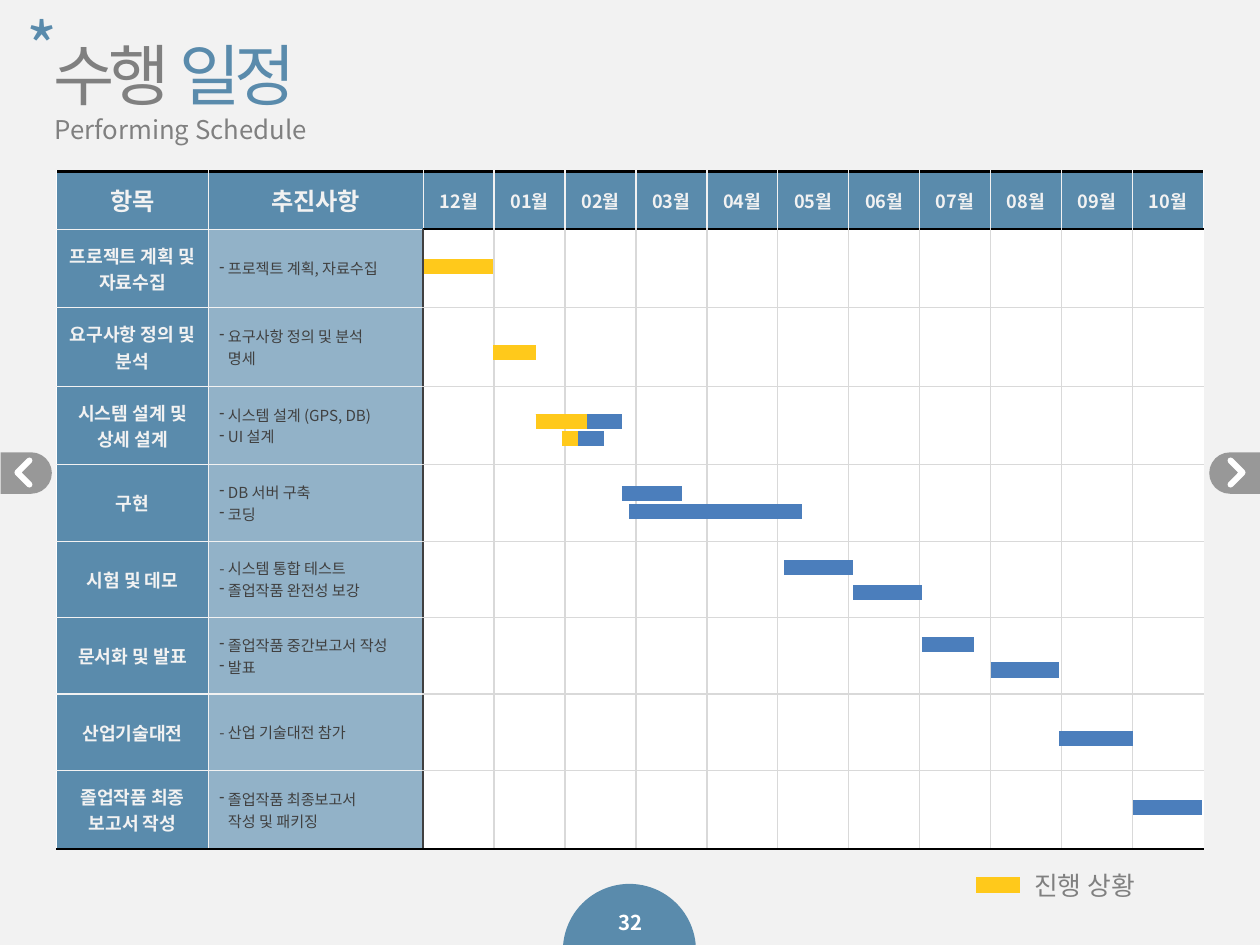
from dataclasses import dataclass

from lxml import etree
from pptx import Presentation
from pptx.dml.color import RGBColor
from pptx.enum.shapes import MSO_CONNECTOR, MSO_SHAPE
from pptx.enum.text import MSO_ANCHOR, PP_ALIGN
from pptx.oxml.ns import qn
from pptx.util import Inches, Pt

LINE = MSO_CONNECTOR.STRAIGHT
CHORD = MSO_SHAPE.CHORD
TAB = MSO_SHAPE.ROUND_2_SAME_RECTANGLE
MIDDLE = MSO_ANCHOR.MIDDLE
LEFT, CENTER = PP_ALIGN.LEFT, PP_ALIGN.CENTER


@dataclass(frozen=True)
class Theme:
    """Colours, font and type sizes of the slide."""
    font: str = "Noto Sans CJK KR"
    paper: str = "F2F2F2"
    blue: str = "5A8BAC"
    pale: str = "92B2C8"
    white: str = "FFFFFF"
    gray: str = "808080"
    dark: str = "404040"
    grid: str = "D9D9D9"
    black: str = "000000"
    done: str = "FFC91B"
    plan: str = "4B7EBC"
    title: float = 44
    label: float = 17
    head: float = 16
    page: float = 13.5
    item: float = 12
    note: float = 10


T = Theme()
MONTHS = ["12월"] + [f"{n:02}월" for n in range(1, 11)]
WIDTHS = [1.39, 1.97] + [0.65] * len(MONTHS)
HEIGHTS = [0.53] + [0.72] * 3 + [0.7] * 4 + [0.72]
BULLET, PLAIN, INDENT = "bullet", "plain", "indent"
TASKS = [
    (["프로젝트 계획 및 자료수집"], [(BULLET, "프로젝트 계획, 자료수집")]),
    (["요구사항 정의 및 분석"], [(BULLET, "요구사항 정의 및 분석"), (INDENT, "명세")]),
    (["시스템 설계 및 상세 설계"], [(BULLET, "시스템 설계 (GPS, DB)"), (BULLET, "UI 설계")]),
    (["구현"], [(BULLET, "DB 서버 구축"), (BULLET, "코딩")]),
    (["시험 및 데모"], [(PLAIN, "- 시스템 통합 테스트"), (BULLET, "졸업작품 완전성 보강")]),
    (["문서화 및 발표"], [(BULLET, "졸업작품 중간보고서 작성"), (BULLET, "발표")]),
    (["산업기술대전"], [(PLAIN, "- 산업 기술대전 참가")]),
    (["졸업작품 최종", "보고서 작성"], [(BULLET, "졸업작품 최종보고서"), (INDENT, "작성 및 패키징")]),
]
PLANS = [
    (4.91, 5.7, 3.86), (5.15, 5.54, 4.02), (5.7, 6.25, 4.52), (5.77, 7.35, 4.69),
    (7.19, 7.82, 5.2), (7.82, 8.45, 5.43), (8.45, 8.93, 5.91), (9.08, 9.71, 6.14),
    (9.71, 10.39, 6.77), (10.39, 11.02, 7.4),
]
DONE = [
    (3.89, 4.52, 2.44), (4.52, 4.91, 3.23), (4.91, 5.38, 3.86), (5.15, 5.3, 4.02),
    (8.95, 9.35, 8.11),
]


def rgb(color):
    """Turn a hex string into a colour."""
    return RGBColor.from_string(color)


def style(para, size, color, bold=False, align=LEFT, space=None):
    """Set the type of a whole paragraph."""
    para.alignment = align
    font = para.font
    font.name, font.size, font.bold = T.font, Pt(size), bold
    font.color.rgb = rgb(color)
    props = para._p.pPr.find(qn("a:defRPr"))
    etree.SubElement(props, qn("a:ea"), typeface=T.font)
    if space is not None:
        props.set("spc", str(space * 100))


def label(slide, box, parts, size, color, **look):
    """Add a one-line text box; each part is text and its own colour."""
    frame = slide.shapes.add_textbox(*map(Inches, box)).text_frame
    frame.margin_left = frame.margin_right = 0
    frame.margin_top = frame.margin_bottom = 0
    frame.word_wrap = True
    frame.vertical_anchor = MIDDLE
    para = frame.paragraphs[0]
    for text, tint in parts:
        run = para.add_run()
        run.text = text
        if tint:
            run.font.color.rgb = rgb(tint)
    style(para, size, color, **look)


def shape(slide, kind, box, color, adjust):
    """Add a plain filled shape."""
    item = slide.shapes.add_shape(kind, *map(Inches, box))
    for i, value in enumerate(adjust):
        item.adjustments[i] = value
    item.shadow.inherit = False
    item.fill.solid()
    item.fill.fore_color.rgb = rgb(color)
    item.line.fill.background()
    return item


def arrow(slide, left, turn, tip, tail):
    """Add a half-clear side tab with a chevron on it."""
    tab = shape(slide, TAB, (left, 4.1, 0.38, 0.47), T.dark, (0.5, 0))
    tab.rotation = turn
    tint = tab.fill._xPr.find(qn("a:solidFill"))[0]
    etree.SubElement(tint, qn("a:alpha"), val="50000")
    path = slide.shapes.build_freeform(Inches(tail), Inches(4.22))
    ends = [(Inches(tip), Inches(4.33)), (Inches(tail), Inches(4.44))]
    path.add_line_segments(ends, close=False)
    mark = path.convert_to_shape()
    mark.shadow.inherit = False
    mark.fill.background()
    mark.line.color.rgb = rgb(T.white)
    mark.line.width = Pt(4)
    line = mark.line._get_or_add_ln()
    line.set("cap", "rnd")
    etree.SubElement(line, qn("a:round"))


def bar(slide, start, end, top, color):
    """Add one thick bar of the schedule."""
    line = slide.shapes.add_connector(
        LINE, Inches(start), Inches(top), Inches(end), Inches(top))
    line.line.color.rgb = rgb(color)
    line.line.width = Pt(10)
    etree.SubElement(line._element.spPr, qn("a:effectLst"))


def right(row, col):
    """Give the rule to the right of a cell."""
    if not 0 <= col < len(WIDTHS) - 1:
        return None
    if row == 0 or col == 0:
        return T.paper, 1
    return (T.dark, 1.5) if col == 1 else (T.grid, 1)


def below(row, col):
    """Give the rule below a cell."""
    if row in (-1, len(TASKS)) or (row == 0 and col > 1):
        return T.black, 2
    return (T.paper if col < 2 else T.grid), 1


def paint(cell, row, col, color):
    """Set the borders and fill of a cell."""
    props = cell._tc.get_or_add_tcPr()
    rules = {"lnL": right(row, col - 1), "lnR": right(row, col),
             "lnT": below(row - 1, col), "lnB": below(row, col)}
    for side, rule in rules.items():
        if rule:
            line = etree.SubElement(props, qn(f"a:{side}"), w=str(Pt(rule[1])))
            fill = etree.SubElement(line, qn("a:solidFill"))
            etree.SubElement(fill, qn("a:srgbClr"), val=rule[0])
    cell.fill.solid()
    cell.fill.fore_color.rgb = rgb(color)
    cell.vertical_anchor = MIDDLE


def write(cell, lines, size, color, **look):
    """Write lines of text, each with its kind of mark, in a cell."""
    frame = cell.text_frame
    for i, (kind, text) in enumerate(lines):
        para = frame.add_paragraph() if i else frame.paragraphs[0]
        para.text = text
        props = para._p.get_or_add_pPr()
        if kind != PLAIN:
            props.set("marL", str(Inches(0.08)))
        if kind == BULLET:
            props.set("indent", str(-Inches(0.08)))
            etree.SubElement(props, qn("a:buChar"), char="-")
        style(para, size, color, **look)


def chart(slide):
    """Add the table of tasks and months."""
    table = slide.shapes.add_table(
        len(HEIGHTS), len(WIDTHS), Inches(0.52), Inches(1.57),
        Inches(sum(WIDTHS)), Inches(sum(HEIGHTS))).table
    table.first_row = table.horz_banding = False
    for col, width in zip(table.columns, WIDTHS):
        col.width = Inches(width)
    for row, height in zip(table.rows, HEIGHTS):
        row.height = Inches(height)
    for r in range(len(HEIGHTS)):
        for c in range(len(WIDTHS)):
            color = T.blue if r == 0 or c == 0 else T.pale if c == 1 else T.white
            paint(table.cell(r, c), r, c, color)
    bold = {"bold": True, "align": CENTER}
    for c, text in enumerate(["항목", "추진사항"] + MONTHS):
        size = T.head if c < 2 else T.item
        write(table.cell(0, c), [(PLAIN, text)], size, T.paper, **bold)
    for r, (names, notes) in enumerate(TASKS, 1):
        lines = [(PLAIN, name) for name in names]
        write(table.cell(r, 0), lines, T.item, T.paper, **bold)
        write(table.cell(r, 1), notes, T.note, T.dark)


def main():
    """Build and save the schedule slide."""
    deck = Presentation()
    deck.slide_width, deck.slide_height = Inches(11.55), Inches(8.66)
    slide = deck.slides.add_slide(deck.slide_layouts[6])
    slide.background.fill.solid()
    slide.background.fill.fore_color.rgb = rgb(T.paper)
    shape(slide, CHORD, (5.16, 8.1, 1.22, 1.22), T.blue, (110.57, 213.41))
    label(slide, (5.5, 8.35, 0.56, 0.2), [("32", None)], T.page, T.white,
          bold=True, align=CENTER)
    label(slide, (0.49, 0.38, 7.21, 0.6), [("수행 ", None), ("일정", T.blue)],
          T.title, T.gray, space=-4)
    label(slide, (0.5, 1.05, 7.2, 0.27), [("Performing Schedule", None)],
          T.label, T.gray)
    label(slide, (0.24, 0.16, 0.4, 0.52), [("*", None)], T.title, T.blue, space=-4)
    arrow(slide, 0.05, 90, 0.16, 0.27)
    arrow(slide, 11.13, 270, 11.39, 11.28)
    chart(slide)
    for color, bars in ((T.plan, PLANS), (T.done, DONE)):
        for start, end, top in bars:
            bar(slide, start, end, top, color)
    label(slide, (9.48, 7.98, 1.73, 0.27), [("진행 상황", None)], T.label, T.gray)
    deck.save("out.pptx")


if __name__ == "__main__":
    main()
